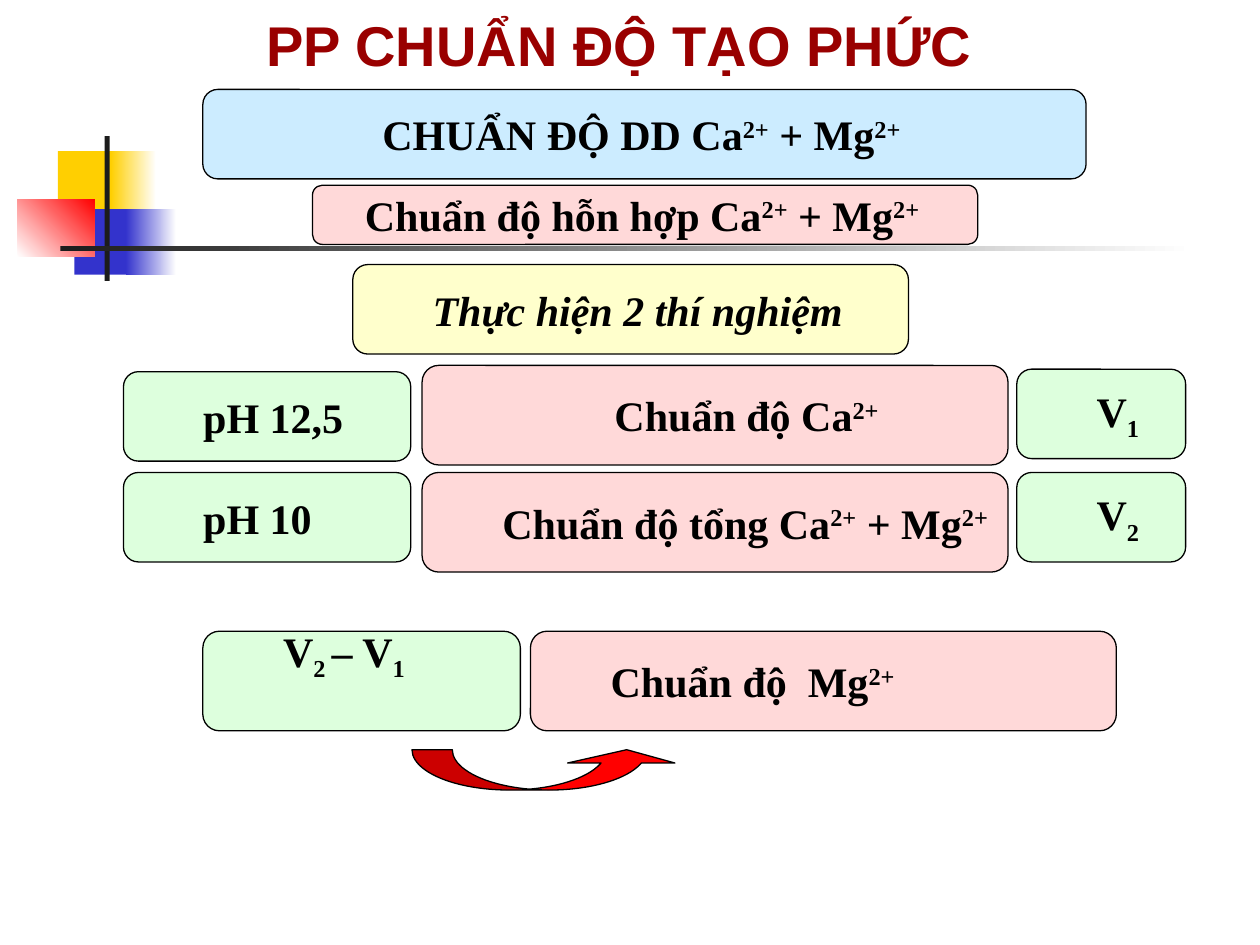
from pptx import Presentation
from pptx.dml.color import RGBColor
from pptx.enum.shapes import MSO_SHAPE
from pptx.enum.text import MSO_ANCHOR, PP_ALIGN
from pptx.util import Inches, Pt

RECT, ROUND = MSO_SHAPE.RECTANGLE, MSO_SHAPE.ROUNDED_RECTANGLE
SWOOSH = MSO_SHAPE.CURVED_UP_ARROW
MIDDLE = MSO_ANCHOR.MIDDLE
LEFT, CENTER, JUST = PP_ALIGN.LEFT, PP_ALIGN.CENTER, PP_ALIGN.JUSTIFY

BLACK = RGBColor(0, 0, 0)
WHITE = RGBColor(255, 255, 255)
GOLD = RGBColor(0xFF, 0xCF, 0x01)
NAVY = RGBColor(0x33, 0x33, 0xCC)
RED = RGBColor(0xFF, 0, 0)
INK = RGBColor(0x1C, 0x1C, 0x1C)
MAROON = RGBColor(0x99, 0, 0)
PINK = RGBColor(0xFF, 0xD9, 0xD9)
CREAM = RGBColor(0xFF, 0xFF, 0xCC)
MINT = RGBColor(0xDD, 0xFF, 0xDD)
SKY = RGBColor(0xCC, 0xEC, 0xFF)

SUPER, SUB = 30000, -25000
ION = ("2+", SUPER)


def add_block(slide, place, color, end=None, angle=0):
    """Borderless rectangle, plain or fading from color to end."""
    block = slide.shapes.add_shape(RECT, *map(Inches, place))
    block.shadow.inherit = False
    block.line.fill.background()
    if end is None:
        block.fill.solid()
        block.fill.fore_color.rgb = color
        return
    block.fill.gradient()
    block.fill.gradient_angle = angle
    for stop, tone, pos in zip(block.fill.gradient_stops, (color, end), (0, 1)):
        stop.color.rgb = tone
        stop.position = pos


def add_text(shape, parts, align, color=BLACK, size=24, face="Times New Roman",
             italic=None, hang=False):
    """Write parts as runs; a part is a string or (string, baseline)."""
    frame = shape.text_frame
    frame.word_wrap = False
    frame.vertical_anchor = MIDDLE
    para = frame.paragraphs[0]
    para.alignment = align
    if hang:
        props = para._p.get_or_add_pPr()
        props.set("marL", str(Inches(0.88)))
        props.set("indent", str(Inches(-0.38)))
    for part in parts:
        text, shift = (part, 0) if isinstance(part, str) else part
        run = para.add_run()
        run.text = text
        font = run.font
        font.name, font.size = face, Pt(size)
        font.bold, font.italic = True, italic
        font.color.rgb = color
        if shift:
            run._r.get_or_add_rPr().set("baseline", str(shift))


def add_form(slide, kind, place, fill):
    """Preset shape with a thin black outline."""
    form = slide.shapes.add_shape(kind, *map(Inches, place))
    form.shadow.inherit = False
    form.fill.solid()
    form.fill.fore_color.rgb = fill
    form.line.color.rgb = BLACK
    form.line.width = Pt(0.75)
    return form


def add_card(slide, place, fill, parts, align, **style):
    card = add_form(slide, ROUND, place, fill)
    add_text(card, parts, align, **style)
    return card


def main():
    prs = Presentation()
    prs.slide_width, prs.slide_height = Inches(10), Inches(7.5)
    slide = prs.slides.add_slide(prs.slide_layouts[6])

    # Corner ornament and rule
    add_block(slide, (0.46, 1.2, 0.48, 0.52), GOLD)
    add_block(slide, (0.88, 1.2, 0.36, 0.52), GOLD, WHITE)
    add_block(slide, (0.59, 1.66, 0.46, 0.52), NAVY)
    add_block(slide, (1, 1.66, 0.4, 0.52), NAVY, WHITE)
    add_block(slide, (0.14, 1.58, 0.61, 0.46), WHITE, RED, 45)
    add_block(slide, (0.83, 1.08, 0.04, 1.15), INK)
    add_block(slide, (0.48, 1.95, 9, 0.04), INK, WHITE)

    # Topic and method
    add_card(slide, (2.48, 1.47, 5.28, 0.47), PINK,
             ["Chuẩn độ hỗn hợp Ca", ION, " + Mg", ("2+ ", SUPER)], CENTER)
    add_card(slide, (2.8, 2.1, 4.41, 0.71), CREAM,
             ["Thực hiện 2 thí nghiệm"], JUST, italic=True, hang=True)

    # Two experiments: tops of the three cards, then their contents
    rows = [
        ((2.95, 2.9, 2.93), "pH 12,5", ["Chuẩn độ Ca", ION], CENTER, "1"),
        ((3.75, 3.75, 3.75), "pH 10",
         ["Chuẩn độ tổng Ca", ION, " + Mg", ION], LEFT, "2"),
    ]
    for tops, acid, task, align, mark in rows:
        add_card(slide, (0.98, tops[0], 2.28, 0.71), MINT, [acid], JUST, hang=True)
        add_card(slide, (3.35, tops[1], 4.65, 0.79), PINK, task, align, hang=True)
        add_card(slide, (8.07, tops[2], 1.34, 0.71), MINT,
                 ["V", (mark, SUB)], JUST, hang=True)

    # Result, with the difference set high in its card
    card = add_card(slide, (1.61, 5.01, 2.52, 0.79), MINT,
                    ["V", ("2 ", SUB), "– V", ("1", SUB)], JUST, hang=True)
    card.text_frame.margin_top = Inches(0)
    card.text_frame.margin_bottom = Inches(0.43)
    add_card(slide, (4.21, 5.01, 4.65, 0.79), PINK,
             ["Chuẩn độ  Mg", ION], LEFT, hang=True)

    # Curved arrow: band width, head width and head length
    arrow = add_form(slide, SWOOSH, (3.27, 5.95, 2.13, 0.32), RED)
    for i, ratio in enumerate((1.33, 2.66, 0.33)):
        arrow.adjustments[i] = ratio

    # Heading
    add_card(slide, (1.61, 0.71, 7.01, 0.71), SKY,
             ["CHUẨN ĐỘ DD Ca", ION, " + Mg", ("2+ ", SUPER)], CENTER)
    title = slide.shapes.add_textbox(*map(Inches, (2.01, 0.03, 6.18, 0.64)))
    add_text(title, ["PP CHUẨN ĐỘ TẠO PHỨC"], CENTER, MAROON, 32, "Arial")
    title.text_frame.margin_right = Inches(0.47)

    prs.save("out.pptx")


if __name__ == "__main__":
    main()
